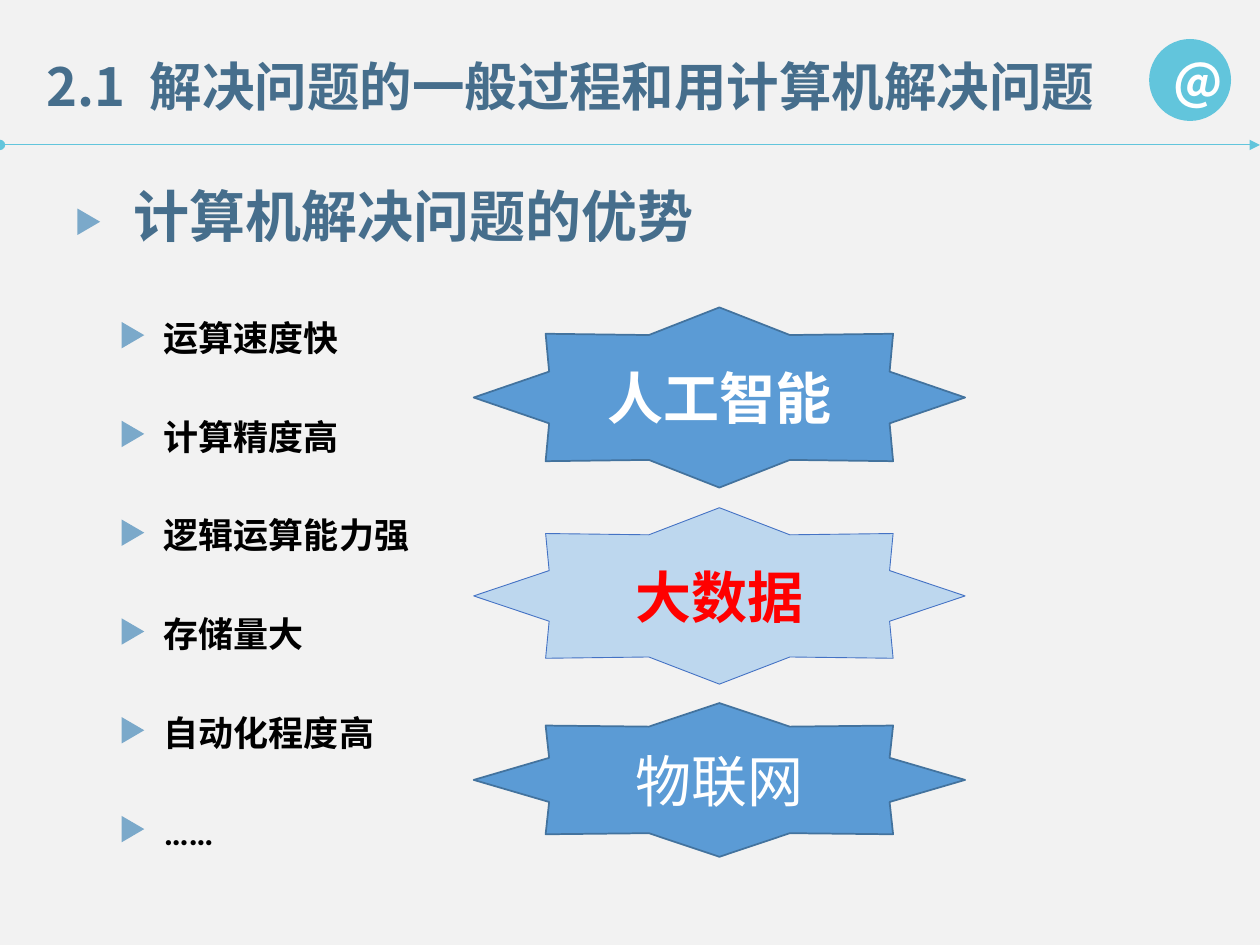
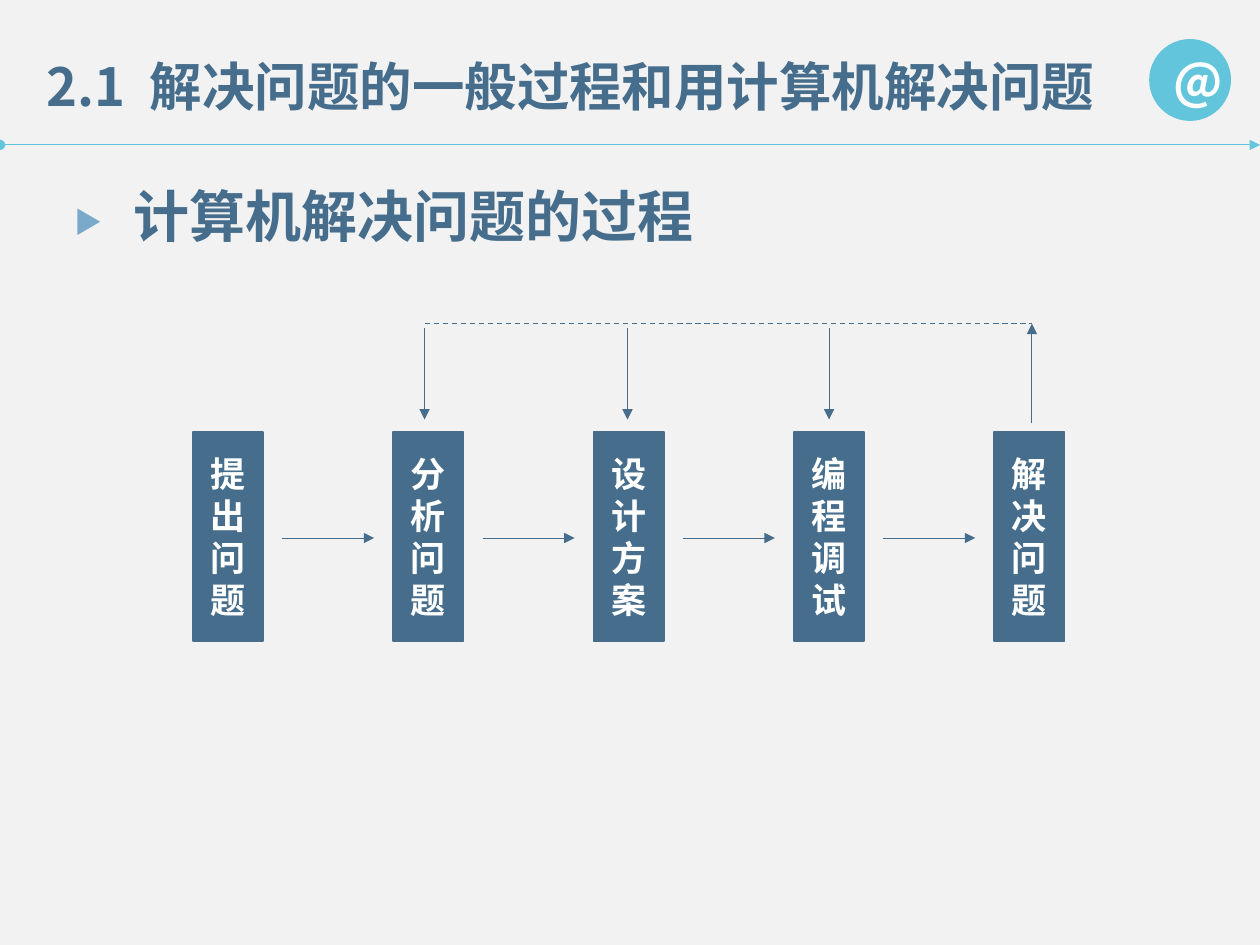
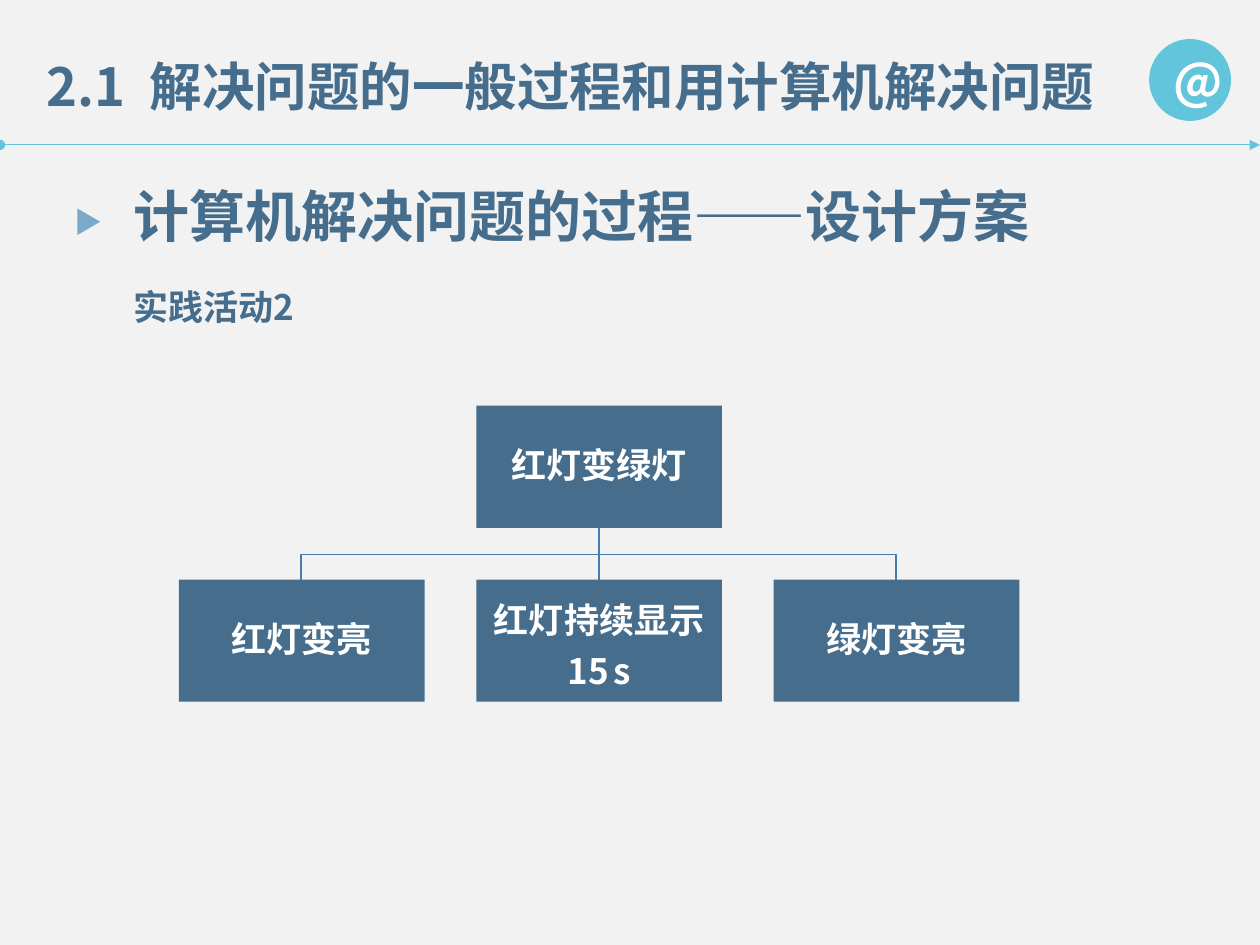
from lxml.etree import SubElement as Sub
from pptx import Presentation
from pptx.dml.color import RGBColor as RGB
from pptx.enum.dml import MSO_LINE as DASH
from pptx.enum.shapes import MSO_CONNECTOR as WIRE, MSO_SHAPE as KIND
from pptx.enum.text import MSO_ANCHOR as ANCHOR, MSO_AUTO_SIZE as AUTO, PP_ALIGN as ALIGN
from pptx.oxml.ns import qn
from pptx.util import Inches, Pt

PAPER = RGB(0xF2, 0xF2, 0xF2)
CYAN = RGB(0x62, 0xC5, 0xDC)
NAVY = RGB(0x46, 0x6E, 0x8C)
SKY = RGB(0x7B, 0xA9, 0xCA)
BLUE = RGB(0x5B, 0x9B, 0xD5)
EDGE = RGB(0x43, 0x73, 0x9E)
PALE = RGB(0xBD, 0xD7, 0xEE)
RIM = RGB(0x44, 0x72, 0xC4)
TREE = RGB(0x49, 0x7C, 0xAB)
RED = RGB(0xFF, 0x00, 0x00)
BLACK = RGB(0x00, 0x00, 0x00)
WHITE = RGB(0xFF, 0xFF, 0xFF)
SANS = "Noto Sans CJK SC"
BODY = "Calibri"


def write(shape, lines, size=20, face=BODY, color=WHITE, bold=True, align=ALIGN.CENTER,
          anchor=ANCHOR.MIDDLE, wrap=True, inset=(0.1, 0.05), space=None):
    frame = shape.text_frame
    frame.word_wrap = wrap
    frame.auto_size = AUTO.NONE
    frame.vertical_anchor = anchor
    frame.margin_left = frame.margin_right = Inches(inset[0])
    frame.margin_top = frame.margin_bottom = Inches(inset[1])
    for i, line in enumerate(lines):
        para = frame.add_paragraph() if i else frame.paragraphs[0]
        props = para._p.get_or_add_pPr()
        props.set("marL", "0")
        props.set("indent", "0")
        Sub(props, qn("a:buNone"))
        para.alignment = align
        para.space_before = Pt(0)
        para.line_spacing = space
        runs = [(line, face, size)] if isinstance(line, str) else line
        for text, name, points in runs:
            run = para.add_run()
            run.text = text
            font = run.font
            font.name, font.size, font.bold = name, Pt(points), bold
            font.color.rgb = color
            Sub(run._r.rPr, qn("a:ea"), typeface=name)


def draw(slide, kind, box, fill, edge=None, width=1):
    shape = slide.shapes.add_shape(kind, *map(Inches, box))
    shape.shadow.inherit = False
    shape.fill.solid()
    shape.fill.fore_color.rgb = fill
    if edge:
        shape.line.color.rgb = edge
        shape.line.width = Pt(width)
    else:
        shape.line.fill.background()
    return shape


deck = Presentation()
deck.slide_width, deck.slide_height = Inches(10), Inches(7.5)
back = deck.slide_master.background.fill
back.solid()
back.fore_color.rgb = PAPER

pages = [
    (1, "计算机解决问题的优势", 4.71),
    (5, "计算机解决问题的过程", 4.71),
    (5, "计算机解决问题的过程——设计方案", 7.34),
]
slides = []
wires = []
for layout, topic, width in pages:
    slide = deck.slides.add_slide(deck.slide_layouts[layout])
    slides.append(slide)
    title = slide.shapes.title
    title.left, title.top, title.width, title.height = map(Inches, (0.27, 0.38, 9.17, 0.6))
    head = [("2.1", SANS, 30), (" ", SANS, 30), ("解决问题的一般过程和用计算机解决问题", SANS, 30)]
    write(title, [head], color=NAVY, align=ALIGN.LEFT, anchor=ANCHOR.TOP)
    title.text_frame.paragraphs[0].runs[1]._r.rPr.set("spc", "690")
    badge = draw(slide, KIND.OVAL, (9.12, 0.31, 0.65, 0.65), CYAN)
    write(badge, ["@"], size=28, face=SANS)
    label = slide.shapes.add_textbox(*map(Inches, (0.96, 1.39, width, 0.64)))
    write(label, [topic], size=32, face=SANS, color=NAVY, align=ALIGN.LEFT,
          anchor=ANCHOR.TOP, wrap=False)
    draw(slide, KIND.ISOSCELES_TRIANGLE, (0.6, 1.67, 0.21, 0.18), SKY).rotation = 90
    wires.append((slide, (0, 1.15, 10, 1.15), CYAN, 0.5, "oval", "triangle"))

gains, flow, plan = slides

perks = ["运算速度快", "计算精度高", "逻辑运算能力强", "存储量大", "自动化程度高", "……"]
pitch = 0.784
body = gains.placeholders[1]
body.left, body.top, body.width, body.height = map(Inches, (1.2, 2.06, 2.56, 4.75))
write(body, perks, color=BLACK, align=ALIGN.LEFT, anchor=ANCHOR.TOP,
      inset=(0.1, 0), space=Inches(pitch))
for i in range(len(perks)):
    mark = (0.95, 2.57 + i * pitch, 0.21, 0.18)
    draw(gains, KIND.ISOSCELES_TRIANGLE, mark, SKY).rotation = 90

stars = [
    ("人工智能", 2.44, 1.43, BLUE, EDGE, 1, WHITE, True),
    ("大数据", 4.03, 1.4, PALE, RIM, 0.5, RED, True),
    ("物联网", 5.58, 1.22, BLUE, EDGE, 1, WHITE, False),
]
for text, top, high, fill, edge, width, color, bold in stars:
    star = draw(gains, KIND.STAR_8_POINT, (3.76, top, 3.9, high), fill, edge, width)
    write(star, [text], size=32, color=color, bold=bold)

steps = ["提出问题", "分析问题", "设计方案", "编程调试", "解决问题"]
for i, step in enumerate(steps):
    left = 1.53 + i * 1.59
    box = draw(flow, KIND.RECTANGLE, (left, 3.43, 0.56, 1.66), NAVY, NAVY)
    write(box, [step])
    if i < len(steps) - 1:
        wires.append((flow, (left + 0.71, 4.27, left + 1.44, 4.27), NAVY, 0.5, None, "triangle"))
for x in (3.37, 4.98, 6.58):
    wires.append((flow, (x, 2.6, x, 3.33), NAVY, 0.5, None, "triangle"))
wires.append((flow, (8.19, 3.36, 8.19, 2.57), NAVY, 0.5, None, "triangle"))
wires.append((flow, (3.37, 2.57, 8.19, 2.57), NAVY, 0.75, None, None))

for slide, ends, color, width, head, tail in wires:
    wire = slide.shapes.add_connector(WIRE.STRAIGHT, *map(Inches, ends))
    wire.line.color.rgb = color
    wire.line.width = Pt(width)
    if not tail:
        wire.line.dash_style = DASH.DASH
    for tag, form in (("a:headEnd", head), ("a:tailEnd", tail)):
        if form:
            Sub(wire.line._ln, qn(tag), type=form)
    Sub(wire._element.spPr, qn("a:effectLst"))

note = plan.shapes.add_textbox(*map(Inches, (0.96, 2.22, 6.22, 0.44)))
write(note, ["实践活动2"], face=SANS, color=NAVY, align=ALIGN.LEFT, anchor=ANCHOR.TOP)

for x in (2.39, 7.11):
    path = plan.shapes.build_freeform(Inches(4.75), Inches(4.19))
    turns = [(4.75, 4.4), (x, 4.4), (x, 4.6)]
    path.add_line_segments([(Inches(a), Inches(b)) for a, b in turns], close=False)
    branch = path.convert_to_shape()
    branch.shadow.inherit = False
    branch.fill.background()
    branch.line.color.rgb = TREE
    branch.line.width = Pt(1)

wait = [("红灯", BODY, 20), ("持续显示15", SANS, 20), (" ", SANS, 10), ("s", SANS, 20)]
nodes = [
    ("红灯变绿灯", 3.78, 3.22, 0.9),
    ("红灯变亮", 1.42, 4.6, 0.9),
    (wait, 3.78, 4.6, 1.2),
    ("绿灯变亮", 6.14, 4.6, 0.9),
]
boxes = []
for text, left, top, space in nodes:
    box = draw(plan, KIND.RECTANGLE, (left, top, 1.95, 0.97), NAVY)
    write(box, [text], inset=(0.01, 0.01), space=space)
    boxes.append(box)
stem = plan.shapes.add_connector(WIRE.STRAIGHT, 0, 0, 0, 0)
stem.begin_connect(boxes[0], 2)
stem.end_connect(boxes[2], 0)
stem.line.color.rgb = TREE
stem.line.width = Pt(1)
Sub(stem._element.spPr, qn("a:effectLst"))

deck.save("out.pptx")
